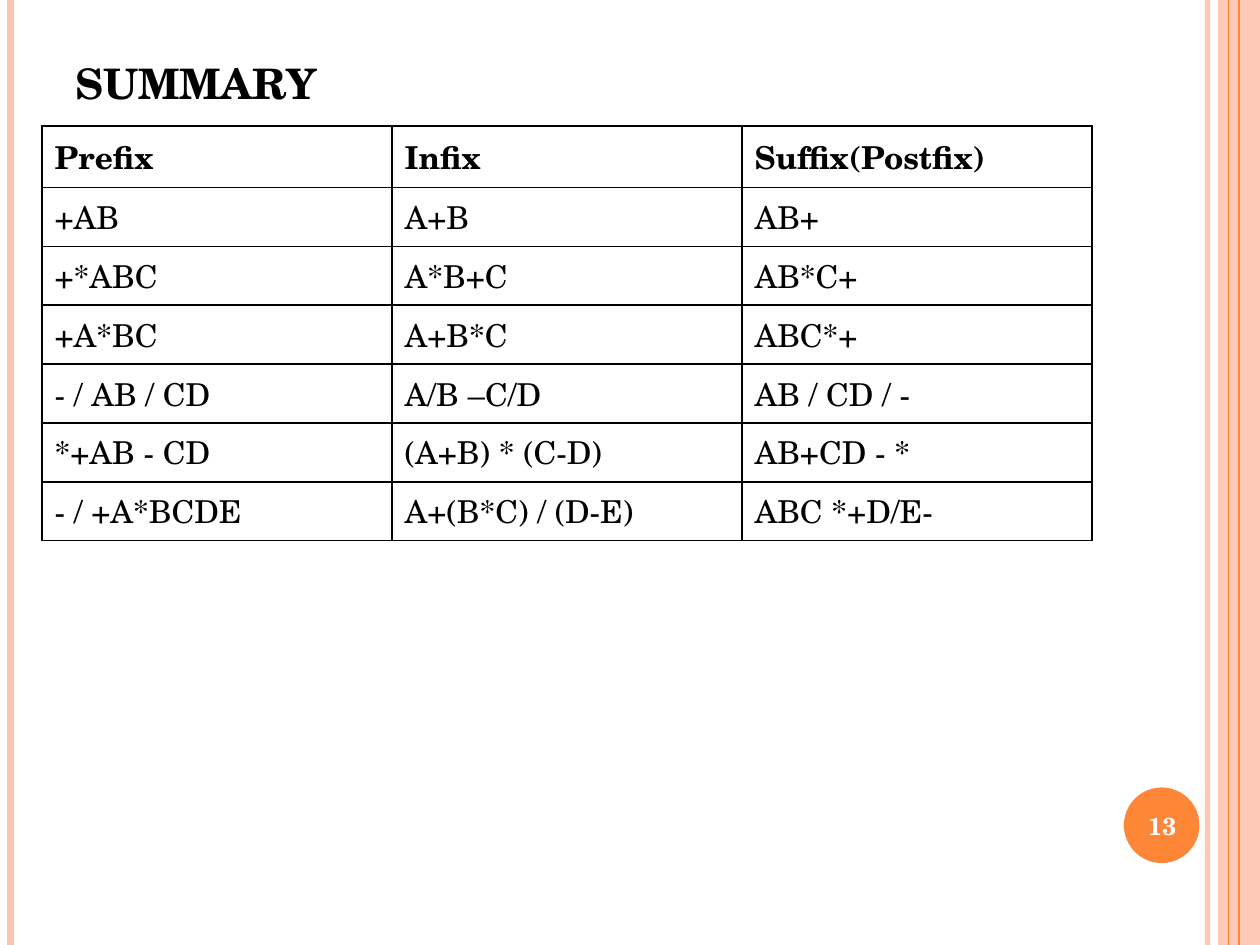
"""Build the summary slide comparing prefix, infix and postfix expressions."""
from pptx import Presentation
from pptx.dml.color import RGBColor
from pptx.enum.shapes import MSO_CONNECTOR as Connector, MSO_SHAPE as Shape
from pptx.enum.text import MSO_ANCHOR as Anchor, PP_ALIGN as Align
from pptx.oxml.ns import qn
from pptx.util import Pt
from lxml.etree import SubElement

FONT = "TeX Gyre Schola"
PEACH, ORANGE, BLACK, WHITE = "FEC3AE", "FE8637", "000000", "FFFFFF"


def paint(color_format, color, alpha=100):
    color_format.rgb = RGBColor.from_string(color)
    if alpha < 100:
        holder = color_format._xFill.find(qn("a:srgbClr"))
        SubElement(holder, qn("a:alpha"), val=str(alpha * 1000))


def style(text_frame, size, color, bold):
    for run in text_frame.paragraphs[0].runs:
        run.font.name = FONT
        run.font.size = Pt(size)
        run.font.bold = bold
        paint(run.font.color, color)


prs = Presentation()
prs.slide_width, prs.slide_height = Pt(720), Pt(540)
slide = prs.slides.add_slide(prs.slide_layouts[5])
shapes = slide.shapes

side_band = shapes.add_shape(Shape.RECTANGLE, Pt(696), 0, Pt(24), Pt(540))
page_disc = shapes.add_shape(Shape.OVAL, Pt(642.24), Pt(450), Pt(43.2), Pt(43.2))
for decoration, color, alpha in [(side_band, PEACH, 87), (page_disc, ORANGE, 100)]:
    decoration.shadow.inherit = False
    decoration.fill.solid()
    paint(decoration.fill.fore_color, color)
    if alpha < 100:
        tint = decoration.fill._xPr.find(qn("a:solidFill")).find(qn("a:srgbClr"))
        SubElement(tint, qn("a:alpha"), val=str(alpha * 1000))
    decoration.line.fill.background()

for x, color, width in [(690, PEACH, 3), (6, PEACH, 4.5), (708, ORANGE, 1.5), (702, ORANGE, 0.75)]:
    stripe = shapes.add_connector(Connector.STRAIGHT, Pt(x), 0, Pt(x), Pt(540))
    stripe.line.width = Pt(width)
    paint(stripe.line.color, color)
    if x == 690:
        tint = stripe.line._ln.find(qn("a:solidFill")).find(qn("a:srgbClr"))
        SubElement(tint, qn("a:alpha"), val="93000")
    SubElement(stripe._element.spPr, qn("a:effectLst"))

title = shapes.title
title.left, title.top, title.width, title.height = Pt(36), Pt(21.6), Pt(588), Pt(44.64)
title.text_frame.text = "summary"
title.text_frame.vertical_anchor = Anchor.BOTTOM
title.text_frame.paragraphs[0].alignment = Align.LEFT
style(title.text_frame, 30, BLACK, True)
title.text_frame.paragraphs[0].runs[0].font._element.set("cap", "small")

notations = [
    ("Prefix", "Infix", "Suffix(Postfix)"),
    ("+AB", "A+B", "AB+"),
    ("+*ABC", "A*B+C", "AB*C+"),
    ("+A*BC", "A+B*C", "ABC*+"),
    ("- / AB / CD", "A/B –C/D", "AB / CD / -"),
    ("*+AB - CD", "(A+B) * (C-D)", "AB+CD - *"),
    ("- / +A*BCDE", "A+(B*C) / (D-E)", "ABC *+D/E-"),
]
row_height = Pt(29.2)
table = shapes.add_table(len(notations), 3, Pt(24), Pt(72), Pt(600),
                         row_height * len(notations)).table
for r, expressions in enumerate(notations):
    table.rows[r].height = row_height
    for c, expression in enumerate(expressions):
        cell = table.cell(r, c)
        cell.text_frame.text = expression
        style(cell.text_frame, 18, BLACK, r == 0)
        borders = cell._tc.get_or_add_tcPr()
        for side in ("lnL", "lnR", "lnT", "lnB"):
            border = SubElement(borders, qn(f"a:{side}"), w=str(Pt(1)))
            ink = SubElement(border, qn("a:solidFill"))
            SubElement(ink, qn("a:srgbClr"), val=BLACK)
        cell.fill.background()

page_number = shapes.add_textbox(Pt(640.08), Pt(451.44), Pt(48.24), Pt(41.04)).text_frame
page_number.word_wrap = True
page_number.vertical_anchor = Anchor.MIDDLE
page_number.text = "13"
page_number.paragraphs[0].alignment = Align.CENTER
style(page_number, 14, WHITE, True)

prs.save("out.pptx")
